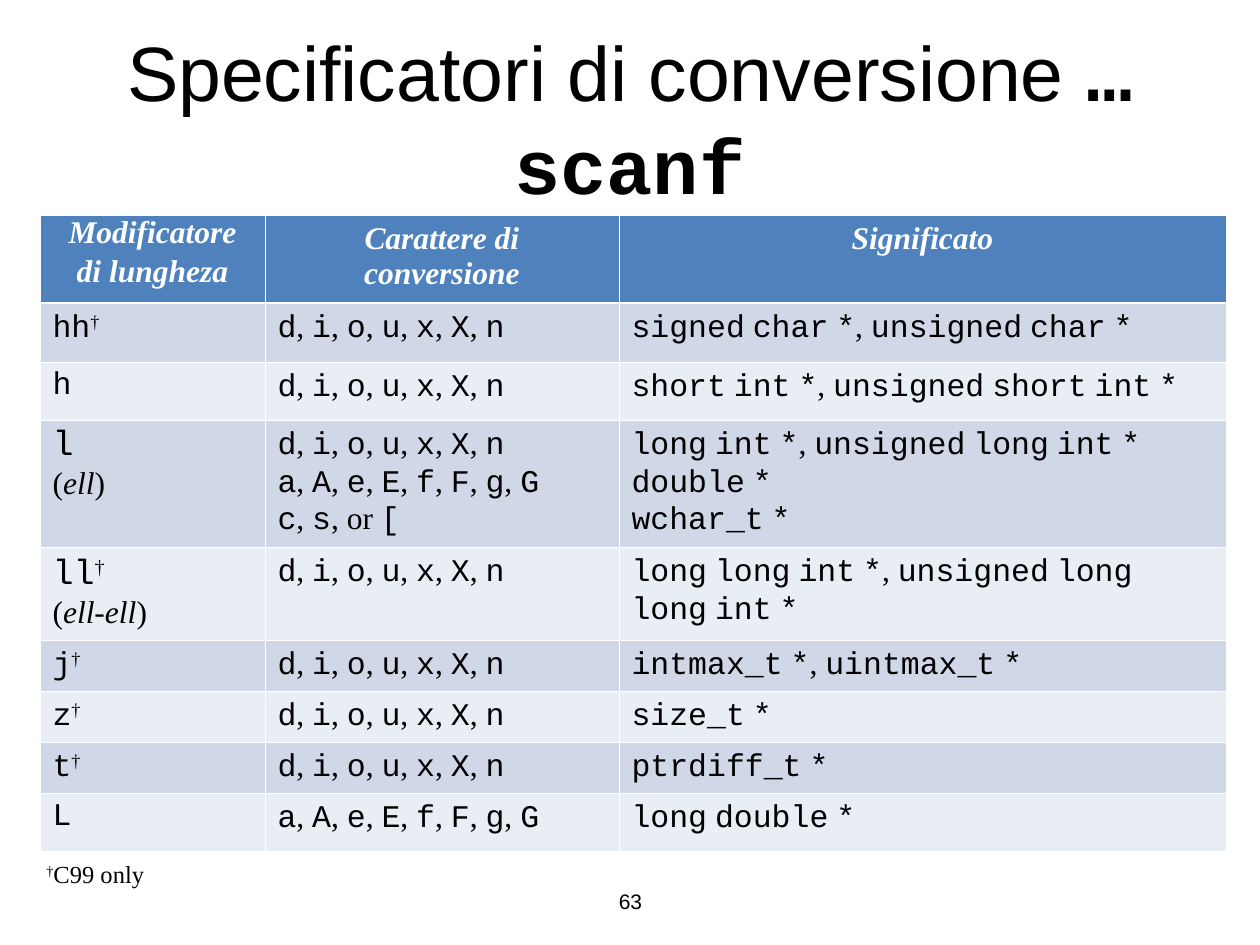
from itertools import groupby

from lxml import etree
from pptx import Presentation
from pptx import util as u
from pptx.dml.color import RGBColor
from pptx.enum import text
from pptx.oxml.ns import qn

SCALE = 914400 / 126  # EMU per px
MONO, SERIF, SANS = "Courier New", "Times New Roman", "Arial"
THEME = {
    "line": "FFFFFF",
    "head_fill": "4F81BD",
    "bands": ("D0D8E8", "E9EDF4"),
    "styles": {
        "title": dict(name=SANS, size=44),
        "title_code": dict(name=MONO, size=44, bold=True),
        "head": dict(name=SERIF, size=18, bold=True, italic=True, color="FFFFFF"),
        "code": dict(name=MONO, size=18),
        "code_big": dict(name=MONO, size=20),
        "serif": dict(name=SERIF, size=18),
        "italic": dict(name=SERIF, size=18, italic=True),
        "sup": dict(name=SERIF, size=18, raised=True),
        "sup_big": dict(name=SERIF, size=20, raised=True),
        "note": dict(name=SERIF, size=14),
        "note_sup": dict(name=SERIF, size=14, raised=True),
        "page": dict(name=SANS, size=12),
    },
}
TIGHT = dict(line_spacing=0.8, space_before=u.Pt(6))
CENTER = dict(alignment=text.PP_ALIGN.CENTER)


def write(tf, lines, **para_format):
    """Fill a text frame; each line is a list of (style, text) runs, "\\v" being a line break."""
    for i, runs in enumerate(lines):
        p = tf.add_paragraph() if i else tf.paragraphs[0]
        for attr, value in para_format.items():
            setattr(p, attr, value)
        for style, content in runs:
            if content == "\v":
                p.add_line_break()
                continue
            r = p.add_run()
            r.text = content
            fmt = {"bold": False, "italic": False, **THEME["styles"][style]}
            r.font.color.rgb = RGBColor.from_string(fmt.pop("color", "000000"))
            r.font.size = u.Pt(fmt.pop("size"))
            if fmt.pop("raised", False):
                r._r.get_or_add_rPr().set("baseline", "30000")
            for attr, value in fmt.items():
                setattr(r.font, attr, value)


def code_runs(line):
    """Set words in code type, and the separators and the word "or" in serif."""
    pieces = ["".join(g) for _, g in groupby(line, lambda c: c in ", ")]
    return [("serif" if s.strip(", ") in ("", "or") else "code", s) for s in pieces]


prs = Presentation()
prs.slide_width, prs.slide_height = u.Inches(10), u.Inches(7.5)
s = prs.slides.add_slide(prs.slide_layouts[6])

middle, top = text.MSO_ANCHOR.MIDDLE, text.MSO_ANCHOR.TOP
text_boxes = [
    ((63, 38, 1134, 158), middle, CENTER,
     [("title", "Specificatori di conversione "), ("title_code", "…scanf")]),
    ((34, 859, 179, 49), top, TIGHT, [("note_sup", "†"), ("note", "C99 only")]),
    ((431, 876, 399, 50), middle, CENTER, [("page", "63")]),
]
for box, anchor, para_format, runs in text_boxes:
    tf = s.shapes.add_textbox(*(u.Emu(round(n * SCALE)) for n in box)).text_frame
    tf.word_wrap = True
    tf.vertical_anchor = anchor
    write(tf, [runs], **para_format)

INTEGERS = "d, i, o, u, x, X, n"
FLOATS = "a, A, e, E, f, F, g, G"
headers = [["Modificatore", "di lungheza"], ["Carattere di", "conversione"], ["Significato"]]
dagger = ("sup", "†")
# modifier lines, conversion characters, meanings
rows = [
    ([[("code", "hh"), dagger]], [INTEGERS], ["signed char *, unsigned char *"]),
    ([[("code", "h")]], [INTEGERS], ["short int *, unsigned short int *"]),
    ([[("code_big", "l"), ("code_big", "\v"),
       ("serif", "("), ("italic", "ell"), ("serif", ")")]],
     [INTEGERS, FLOATS, "c, s, or ["],
     ["long int *, unsigned long int *", "double *", "wchar_t *"]),
    ([[("code_big", "ll"), ("sup_big", "†")],
      [("serif", "("), ("italic", "ell-ell"), ("serif", ")")]],
     [INTEGERS], ["long long int *, unsigned long long int *"]),
    ([[("code", "j"), dagger]], [INTEGERS], ["intmax_t *, uintmax_t *"]),
    ([[("code", "z"), dagger]], [INTEGERS], ["size_t *"]),
    ([[("code", "t"), dagger]], [INTEGERS], ["ptrdiff_t *"]),
    ([[("code", "L")]], [FLOATS], ["long double *"]),
]
col_widths = [225, 354, 607]
row_heights = [88, 59, 58, 127, 93, 51, 51, 51, 58]

frame = s.shapes.add_table(
    len(row_heights), len(col_widths),
    *(u.Emu(round(n * SCALE)) for n in (40, 215, sum(col_widths), sum(row_heights))))
table = frame.table
for column, width in zip(table.columns, col_widths):
    column.width = u.Emu(round(width * SCALE))
for row, height in zip(table.rows, row_heights):
    row.height = u.Emu(round(height * SCALE))

for i, lines in enumerate(headers):
    write(table.cell(0, i).text_frame, [[("head", line)] for line in lines],
          **CENTER, **(TIGHT if i == 0 else {}))
for i, (modifier, characters, meanings) in enumerate(rows, 1):
    write(table.cell(i, 0).text_frame, modifier)
    for j, lines in enumerate((characters, meanings), 1):
        write(table.cell(i, j).text_frame, [code_runs(line) for line in lines])

for i, row in enumerate(table.rows):
    fill = THEME["bands"][(i - 1) % 2] if i else THEME["head_fill"]
    for cell in row.cells:
        tcPr = cell._tc.get_or_add_tcPr()
        for side in "LRTB":
            thick = (i, side) in ((0, "B"), (1, "T"))
            ln = etree.SubElement(tcPr, qn(f"a:ln{side}"), w=str(u.Pt(1.47 if thick else 0.45)))
            solid = etree.SubElement(ln, qn("a:solidFill"))
            etree.SubElement(solid, qn("a:srgbClr"), val=THEME["line"])
        cell.fill.solid()
        cell.fill.fore_color.rgb = RGBColor.from_string(fill)

prs.save("out.pptx")
